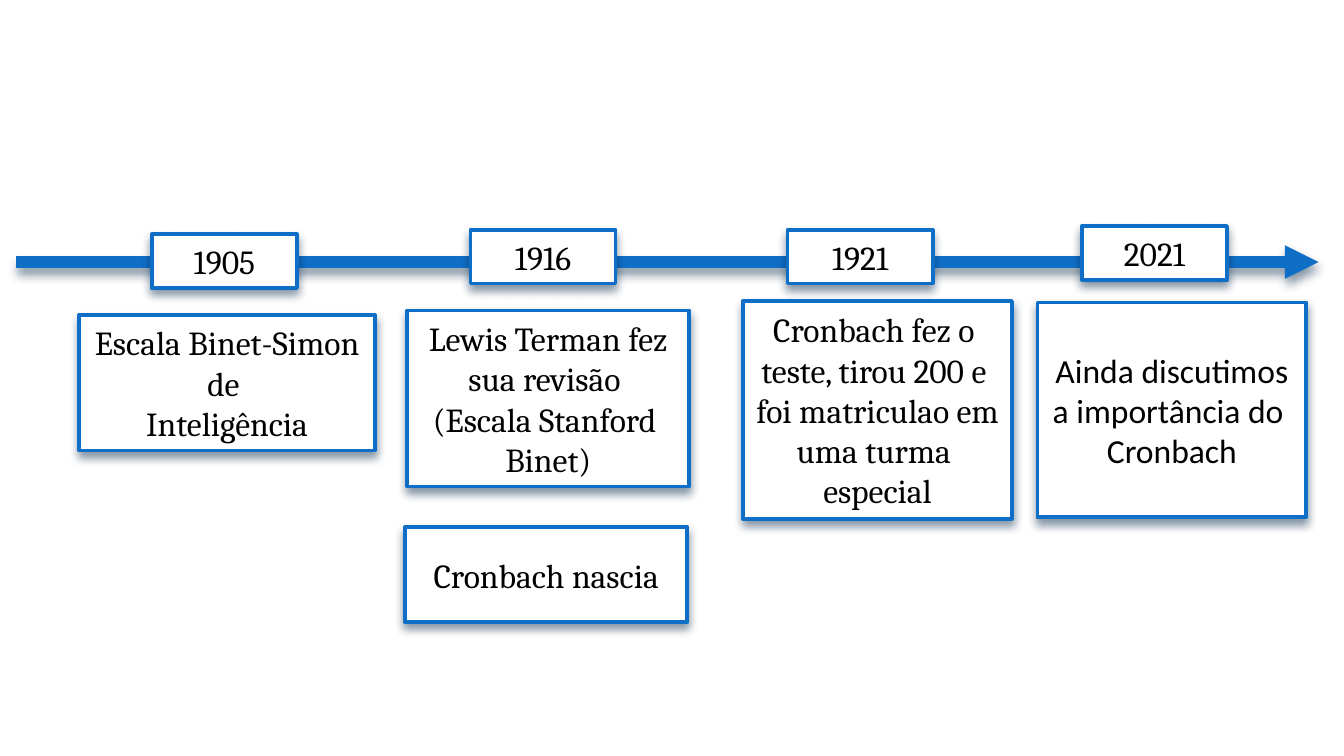
from lxml.etree import SubElement
from pptx import Presentation
from pptx.dml.color import RGBColor
from pptx.enum.shapes import MSO_CONNECTOR as Connector, MSO_SHAPE as Shape
from pptx.enum.text import MSO_ANCHOR as Anchor, MSO_AUTO_SIZE as AutoSize, PP_ALIGN as Align
from pptx.oxml.ns import qn
from pptx.util import Inches, Pt

WIDTH = 10
HEIGHT = WIDTH * 9 / 16
BLUE, WHITE, BLACK, SHADOW = "0F6FC6", "FFFFFF", "000000", "032544"
YEAR_SIZE = (10.8, 7.11)

MILESTONES = [
    ("1905", (11.3, 31), [
        (["Escala Binet-Simon de ", "Inteligência"], (5.9, 41.65, 22, 17.96), "Cambria"),
    ]),
    ("1916", (35, 30.4), [
        (["Lewis Terman fez sua revisão ", "(Escala Stanford ", "Binet)"],
         (30.3, 41.07, 21, 23.29), "Cambria"),
        (["Cronbach nascia"], (30.15, 69.69, 21, 12.62), "Cambria"),
    ]),
    ("1921", (58.6, 30.4), [
        (["Cronbach fez o ", "teste, tirou 200 e ", "foi matriculao em uma turma ", "especial"],
         (55.3, 39.82, 20, 28.8), "Cambria"),
    ]),
    ("2021", (80.5, 29.9), [
        (["Ainda discutimos a importância do ", "Cronbach"], (77.2, 40, 20, 28.44), "Calibri"),
    ]),
]


def color(value):
    return RGBColor.from_string(value)


def across(percent):
    return Inches(WIDTH * percent / 100)


def down(percent):
    return Inches(HEIGHT * percent / 100)


def style_line(shape, width):
    shape.line.color.rgb = color(BLUE)
    shape.line.width = Pt(width)


def add_shadow(shape):
    effects = SubElement(shape._element.spPr, qn("a:effectLst"))
    shadow = SubElement(effects, qn("a:outerShdw"), blurRad=str(Pt(5)), dist=str(Pt(3)),
                        dir="5400000", rotWithShape="0")
    tint = SubElement(shadow, qn("a:srgbClr"), val=SHADOW)
    SubElement(tint, qn("a:alpha"), val="48000")


def add_time_arrow(slide, start, end, height):
    arrow = slide.shapes.add_connector(
        Connector.STRAIGHT, across(start), down(height), across(end), down(height))
    style_line(arrow, 6)
    SubElement(arrow.line._get_or_add_ln(), qn("a:tailEnd"), type="triangle")
    add_shadow(arrow)


def write_lines(paragraph, lines, font_name):
    paragraph.alignment = Align.CENTER
    for index, line in enumerate(lines):
        if index:
            paragraph.add_line_break()
        run = paragraph.add_run()
        run.text = line
        run.font.name = font_name
        run.font.size = Pt(18)
        run.font.color.rgb = color(BLACK)


def add_box(slide, lines, place, font_name):
    left, top, width, height = place
    box = slide.shapes.add_shape(
        Shape.RECTANGLE, across(left), down(top), across(width), down(height))
    box.fill.solid()
    box.fill.fore_color.rgb = color(WHITE)
    style_line(box, 2)
    add_shadow(box)
    frame = box.text_frame
    frame.word_wrap = True
    frame.auto_size = AutoSize.SHAPE_TO_FIT_TEXT
    frame.vertical_anchor = Anchor.MIDDLE
    frame.margin_left = frame.margin_right = Inches(0.05)
    frame.margin_top = frame.margin_bottom = Inches(0.05)
    write_lines(frame.paragraphs[0], lines, font_name)


def main():
    presentation = Presentation()
    presentation.slide_width = Inches(WIDTH)
    presentation.slide_height = Inches(HEIGHT)
    slide = presentation.slides.add_slide(presentation.slide_layouts[6])
    add_time_arrow(slide, 1.2, 98.1, 34.67)
    for year, corner, events in MILESTONES:
        add_box(slide, [year], corner + YEAR_SIZE, "Cambria")
        for lines, place, font_name in events:
            add_box(slide, lines, place, font_name)
    presentation.save("out.pptx")


if __name__ == "__main__":
    main()
